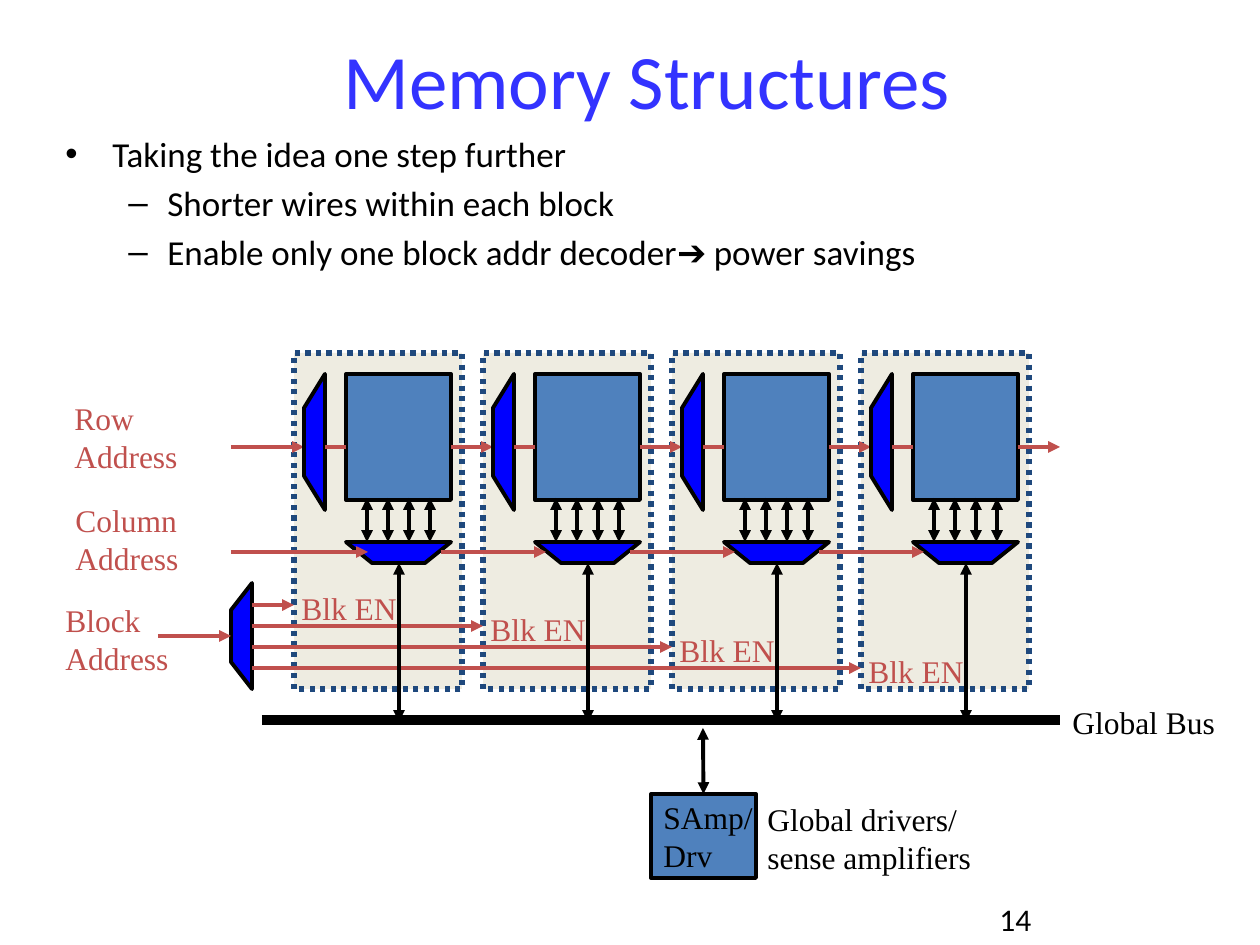
from lxml.etree import SubElement
from pptx import Presentation
from pptx.dml.color import RGBColor
from pptx.enum.dml import MSO_LINE
from pptx.enum.shapes import MSO_CONNECTOR, MSO_SHAPE
from pptx.enum.text import MSO_ANCHOR, PP_ALIGN
from pptx.oxml.ns import qn
from pptx.util import Pt

PX = 914400 / 126
BLACK, RED, NAVY = "000000", "C0504D", "1F497D"
CELL, MUX, PANEL, TITLE = "4F81BD", "0000FF", "EEECE1", "3333FF"
BLOCKS, PITCH, STEP = 4, 189, 21
SERIF, SANS = "Times New Roman", "Calibri"

prs = Presentation()
prs.slide_width, prs.slide_height = round(1260 * PX), round(945 * PX)
s = prs.slides.add_slide(prs.slide_layouts[6])


def draw(kind, pts, fill=None, line=BLACK, width=2.25, heads=()):
    if kind == "line":
        sp = s.shapes.add_connector(MSO_CONNECTOR.STRAIGHT, *[round(v * PX) for v in pts])
        SubElement(sp._element.spPr, qn("a:effectLst"))
    elif kind == "rect":
        sp = s.shapes.add_shape(MSO_SHAPE.RECTANGLE, *[round(v * PX) for v in pts])
    else:
        fb = s.shapes.build_freeform(*pts[0], scale=PX)
        fb.add_line_segments(pts[1:], close=True)
        sp = fb.convert_to_shape()
    if fill:
        sp.shadow.inherit = False
        sp.fill.solid()
        sp.fill.fore_color.rgb = RGBColor.from_string(fill)
    sp.line.color.rgb = RGBColor.from_string(line)
    sp.line.width = Pt(width)
    for head in heads:
        SubElement(sp.line._get_or_add_ln(), qn("a:" + head), type="triangle")
    return sp


def write(box, lines, color=BLACK, font=SERIF, size=18, wrap=False, anchor=MSO_ANCHOR.TOP):
    sp = s.shapes.add_textbox(*[round(v * PX) for v in box]) if isinstance(box, tuple) else box
    tf = sp.text_frame
    tf.word_wrap = wrap
    tf.vertical_anchor = anchor
    for i, line in enumerate(lines):
        p = tf.paragraphs[0] if i == 0 else tf.add_paragraph()
        p.alignment = PP_ALIGN.LEFT
        r = p.add_run()
        r.text = line
        r.font.name, r.font.size = font, Pt(size)
        r.font.color.rgb = RGBColor.from_string(color)
    return tf


write((987, 903, 262, 32), ["14"], font=SANS, wrap=True, anchor=MSO_ANCHOR.MIDDLE)

for i in range(BLOCKS):
    sp = draw("rect", (294 + PITCH * i, 353, 168, 336), PANEL, NAVY, 3)
    sp.line.dash_style = MSO_LINE.ROUND_DOT

tf = write((63, 0, 1134, 158), ["Memory Structures"], TITLE, SANS, 44, True, MSO_ANCHOR.MIDDLE)
tf.margin_left = round(47 * PX)
tf.paragraphs[0].alignment = PP_ALIGN.CENTER

bullets = [
    ("•", 47, 47, "Taking the idea one step further"),
    ("–", 102, 39, "Shorter wires within each block"),
    ("–", 102, 39, "Enable only one block addr decoder➔ power savings"),
]
tf = write((53, 126, 1155, 210), [b[3] for b in bullets], font=SANS, size=20, wrap=True)
for p, (mark, margin, hang, _) in zip(tf.paragraphs, bullets):
    p.space_before = Pt(4)
    p.level = 0 if mark == "•" else 1
    pPr = p._p.get_or_add_pPr()
    pPr.set("marL", str(round(margin * PX)))
    pPr.set("indent", str(round(-hang * PX)))
    SubElement(pPr, qn("a:buFont"), typeface="Arial")
    SubElement(pPr, qn("a:buChar"), char=mark)

draw("line", (231, 447, 304, 447), line=RED, heads=["tailEnd"])
for i in range(BLOCKS):
    x = 304 + PITCH * i
    draw("rect", (x + 42, 374, 105, 126), CELL)
    draw("free", [(x + 21, 510), (x, 476), (x, 408), (x + 21, 374)], MUX)
    draw("line", (x + 21, 447, x + 42, 447), line=RED)
    draw("line", (x + 147, 447, x + 189, 447), line=RED, heads=["tailEnd"])

for i in range(BLOCKS):
    x = 346 + PITCH * i
    draw("free", [(x, 542), (x + 26, 563), (x + 79, 563), (x + 105, 542)], MUX)
    for j in range(4):
        bit = x + 21 + STEP * j
        draw("line", (bit, 498, bit, 542), heads=["headEnd", "tailEnd"])

draw("free", [(252, 689), (231, 662), (231, 610), (252, 583)], MUX)
draw("line", (158, 636, 231, 636), line=RED, heads=["tailEnd"])
for i in range(BLOCKS):
    x, y = 294 + PITCH * i, 605 + STEP * i
    draw("line", (252, y, x, y), line=RED, heads=["tailEnd"])
    write((x - 5, y - 22, 121, 50), ["Blk EN"], RED)

draw("line", (231, 552, 368, 552), line=RED, heads=["tailEnd"])
for i in range(BLOCKS - 1):
    x = 441 + PITCH * i
    draw("line", (x, 552, x + 105, 552), line=RED, heads=["tailEnd"])

for x, y, name in [(62, 393, "Row"), (63, 495, "Column"), (53, 595, "Block")]:
    write((x, y, 149, 88), [name, "Address"], RED)

for i in range(BLOCKS):
    x = 399 + PITCH * i
    draw("line", (x, 563, x, 722), heads=["headEnd", "tailEnd"])
draw("line", (262, 720, 1060, 720), width=6)
write((1060, 697, 187, 50), ["Global Bus"])

driver = draw("rect", (651, 794, 105, 84), CELL)
write(driver, ["SAmp/", "Drv"], anchor=MSO_ANCHOR.MIDDLE)
link = draw("line", (703, 728, 703, 794), heads=["headEnd", "tailEnd"])
link.end_connect(driver, 0)
write((755, 794, 275, 88), ["Global drivers/", "sense amplifiers"])

prs.save("out.pptx")
